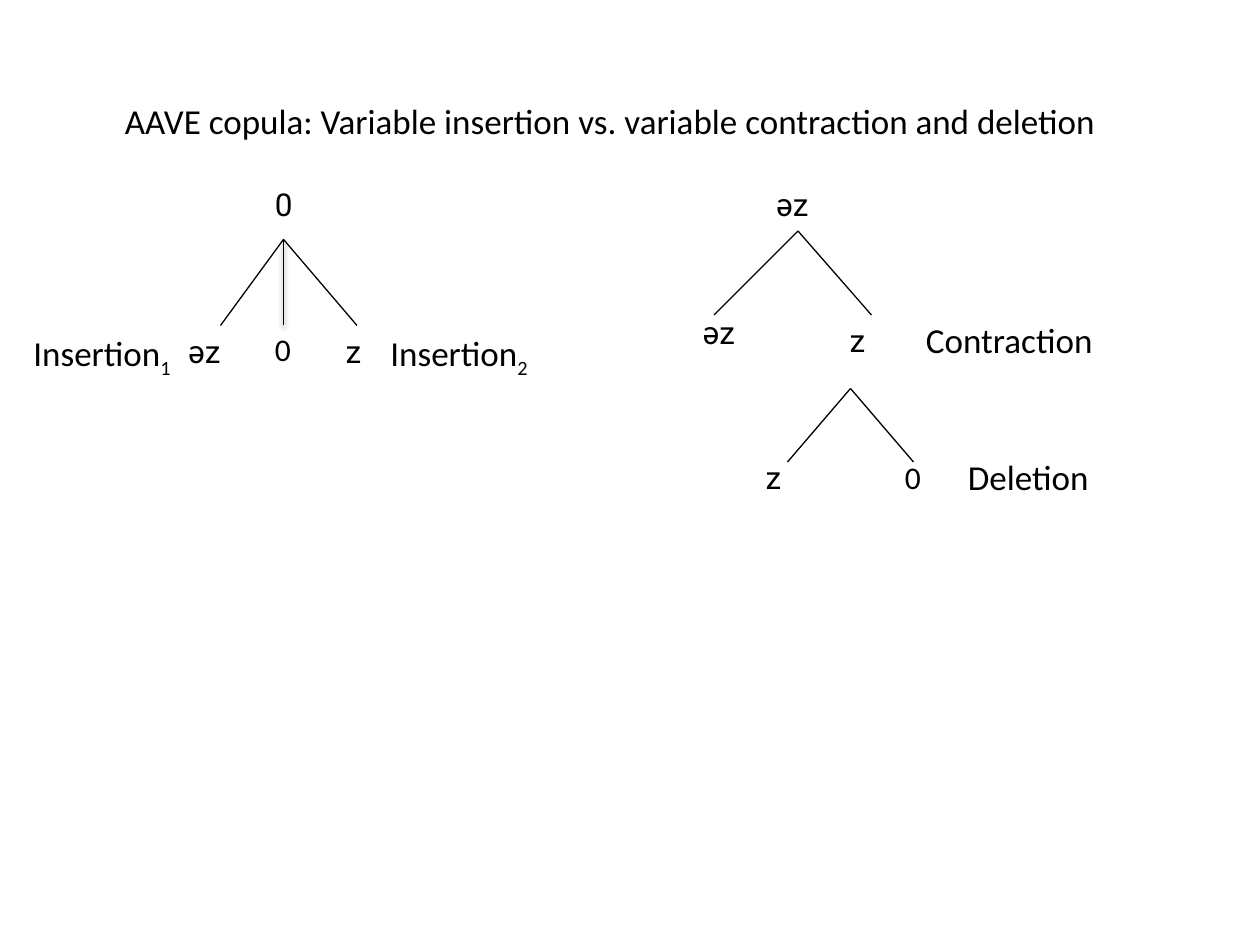
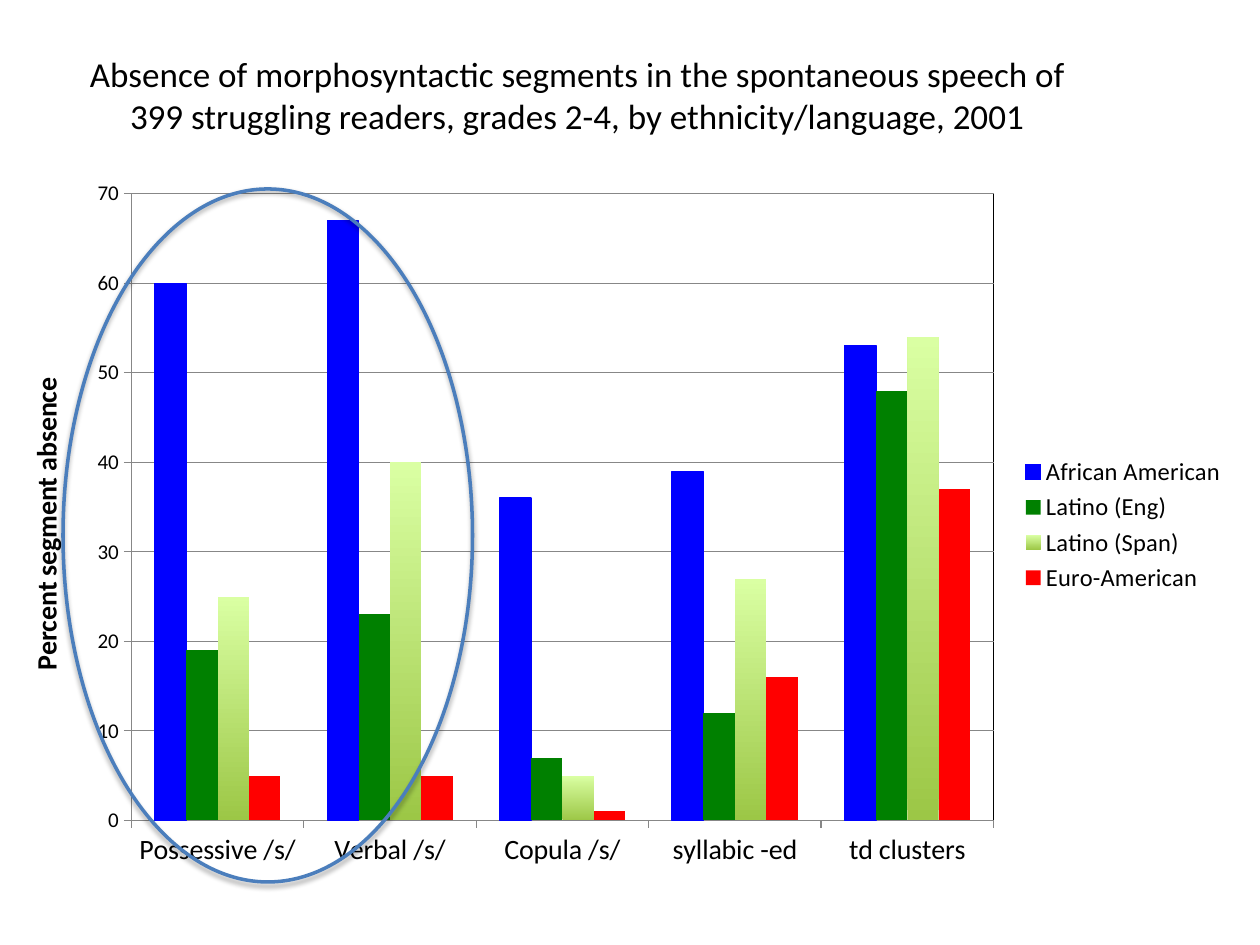
"""Builds two slides on copula variation and morphosyntactic segment absence."""
from lxml import etree
from pptx import Presentation
from pptx import util as u
from pptx.chart.data import CategoryChartData
from pptx.dml.color import RGBColor
from pptx.enum import chart as charts, shapes, text
from pptx.oxml import parse_xml
from pptx.oxml.ns import nsdecls, qn

COLORS = {"ink": "000000", "grid": "878787", "ring": "4B7EBC",
          "african": "0000FF", "english": "008000", "spanish_top": "DAFFA3",
          "spanish_base": "9CC746", "euro": "FF0000"}
RGB = {name: RGBColor.from_string(value) for name, value in COLORS.items()}
COLUMNS = 120

deck = Presentation()
deck.slide_width, deck.slide_height = u.Inches(10), u.Inches(7.5)
cell = deck.slide_width / COLUMNS


def grid(*steps):
    return [u.Emu(round(step * cell)) for step in steps]


def add_label(slide, at, words, size=20, face="Calibri", subscript="", title=False):
    box = slide.shapes.add_textbox(*grid(*at))
    fit = text.MSO_AUTO_SIZE
    frame_format = {
        "word_wrap": True,
        "auto_size": fit.NONE if title else fit.SHAPE_TO_FIT_TEXT,
        "vertical_anchor": text.MSO_ANCHOR.MIDDLE if title else text.MSO_ANCHOR.TOP}
    for key, value in frame_format.items():
        setattr(box.text_frame, key, value)
    line = box.text_frame.paragraphs[0]
    line.alignment = text.PP_ALIGN.CENTER if title else text.PP_ALIGN.LEFT
    for part in filter(None, (words, subscript)):
        run = line.add_run()
        run.text = part
        for key, value in {"name": face, "size": u.Pt(size)}.items():
            setattr(run.font, key, value)
        run.font.color.rgb = RGB["ink"]
    if subscript:
        run.font._element.set("baseline", "-25000")
    return box


SHADOW = ('<a:outerShdw %s blurRad="39400" dist="{}" dir="5400000" rotWithShape="0">'
          '<a:srgbClr val="%s"><a:alpha val="{}"/></a:srgbClr></a:outerShdw>'
          % (nsdecls("a"), COLORS["ink"]))

trees = deck.slides.add_slide(deck.slide_layouts[6])
add_label(trees, (6, 4, 105, 15),
          "AAVE copula: Variable insertion vs. variable contraction and deletion ", title=True)

for words, at, subscript in [
        ("Contraction", (87, 29.75, 26, 5.2), ""),
        ("Deletion", (91, 42.8, 26, 5.2), ""),
        ("Insertion", (2, 31, 16, 5.2), "1"),
        ("Insertion", (36, 31, 16, 5.2), "2")]:
    add_label(trees, at, words, subscript=subscript)

nodes = {}
for node, words, left, top, width, height, face in [
        ("insertion root", "0", 25, 17, 8, 5, "Roboto"),
        ("inserted əz", " əz", 16, 31, 8, 5, "Roboto"),
        ("no insertion", "0", 25, 30.8, 6, 6, "Calibri"),
        ("inserted z", " z", 31, 31, 8, 6, "Roboto"),
        ("full form", " əz", 72, 17, 8, 5, "Roboto"),
        ("uncontracted", " əz", 65, 29.2, 8, 5, "Roboto"),
        ("contracted", " z", 79, 30, 8, 6, "Roboto"),
        ("undeleted", " z", 71, 43, 8, 6, "Roboto"),
        ("deleted", "0", 85, 43, 6, 6, "Calibri")]:
    nodes[node] = add_label(trees, (left, top, width, height), words, 18, face)

for apex, ends, parent, children in [
        ((27, 22.8), [(21, 31), (34, 31), (27, 31)], None, {}),
        ((76, 22), [(68, 30), (83, 30)], "full form", {(83, 30): "contracted"}),
        ((81, 37), [(75, 44), (87, 44)], None, {})]:
    for end in ends:
        upright = end[0] == apex[0]
        branch = trees.shapes.add_connector(shapes.MSO_CONNECTOR.STRAIGHT, *grid(*apex, *end))
        branch.line.color.rgb = RGB["ink"]
        branch.line.width = u.Pt(1 if upright else 0.75)
        effects = etree.SubElement(branch._element.spPr, qn("a:effectLst"))
        if upright:
            effects.append(parse_xml(SHADOW.format(20000, 38000)))
        if parent:
            branch.begin_connect(nodes[parent], 2)
        if end in children:
            branch.end_connect(nodes[children[end]], 0)

absence = deck.slides.add_slide(deck.slide_layouts[6])
add_label(absence, (6, 2, 98, 14),
          "Absence of morphosyntactic segments in the spontaneous speech of "
          "399 struggling readers, grades 2-4, by ethnicity/language, 2001", title=True)

groups = {"African American": ((60, 67, 36, 39, 53), "african"),
          "Latino (Eng)": ((19, 23, 7, 12, 48), "english"),
          "Latino (Span)": ((25, 40, 5, 27, 54), "spanish_base"),
          "Euro-American": ((5, 5, 1, 16, 37), "euro")}
percents = CategoryChartData()
percents.categories = ["Possessive /s/", "Verbal /s/", "Copula /s/", "syllabic -ed", "td clusters"]
for group, (values, _) in groups.items():
    percents.add_series(group, values)
chart = absence.shapes.add_chart(
    charts.XL_CHART_TYPE.COLUMN_CLUSTERED, *grid(0, 16, 118, 68), percents).chart

chart.has_title = False
chart.has_legend = True
for key, value in {"position": charts.XL_LEGEND_POSITION.RIGHT, "include_in_layout": False}.items():
    setattr(chart.legend, key, value)
rows, bars = chart.value_axis, chart.plots[0]
for key, value in {"minimum_scale": 0, "maximum_scale": 70, "major_unit": 10,
                   "has_major_gridlines": True}.items():
    setattr(rows, key, value)
for key, value in {"number_format": "0", "number_format_is_linked": False}.items():
    setattr(rows.tick_labels, key, value)
for key, value in {"gap_width": 150, "overlap": 0, "vary_by_categories": False}.items():
    setattr(bars, key, value)

axis_name = rows.axis_title.text_frame.paragraphs[0].add_run()
axis_name.text = "Percent segment absence"
for font, size, bold in [(chart.font, 10, False),
                         (chart.category_axis.tick_labels.font, 16, False),
                         (rows.tick_labels.font, 12, False),
                         (chart.legend.font, 14, False),
                         (axis_name.font, 16, True)]:
    for key, value in {"name": "Calibri", "size": u.Pt(size), "bold": bold}.items():
        setattr(font, key, value)
    font.color.rgb = RGB["ink"]
for ruled in (chart.category_axis, rows, rows.major_gridlines):
    ruled.format.line.color.rgb = RGB["grid"]
    ruled.format.line.width = u.Pt(0.75)

for series, (_, color) in zip(bars.series, groups.values()):
    series.invert_if_negative = False
    fill = series.format.fill
    if color == "spanish_base":
        fill.gradient()
        fill.gradient_angle = 90
        for stop, shade in zip(fill.gradient_stops, ("spanish_base", "spanish_top")):
            stop.color.rgb = RGB[shade]
    else:
        fill.solid()
        fill.fore_color.rgb = RGB[color]
african_line = bars.series[0].format.line
african_line.color.rgb = RGB["african"]
african_line.width = u.Pt(0.75)

plot_area = chart._chartSpace.chart.plotArea
for stale in plot_area.findall(qn("c:layout")):
    plot_area.remove(stale)
shares = {"xMode": "edge", "yMode": "edge", "x": 0.106, "y": 0.036, "w": 0.696, "h": 0.878}
plot_area.insert(0, parse_xml(
    '<c:layout %s><c:manualLayout><c:layoutTarget val="inner"/>%s</c:manualLayout></c:layout>'
    % (nsdecls("c"), "".join(f'<c:{key} val="{value}"/>' for key, value in shares.items()))))
plot_area.append(parse_xml(
    '<c:spPr %s><a:noFill/><a:ln w="9525"><a:solidFill><a:srgbClr val="%s"/></a:solidFill></a:ln></c:spPr>'
    % (nsdecls("c", "a"), COLORS["ink"])))

ring = absence.shapes.add_shape(shapes.MSO_SHAPE.OVAL, *grid(6, 18, 39, 66))
ring.fill.background()
ring.line.color.rgb = RGB["ring"]
ring.line.width = u.Pt(2)
ring.shadow.inherit = False
ring._element.spPr.find(qn("a:effectLst")).append(parse_xml(SHADOW.format(23000, 35000)))

deck.save("out.pptx")
